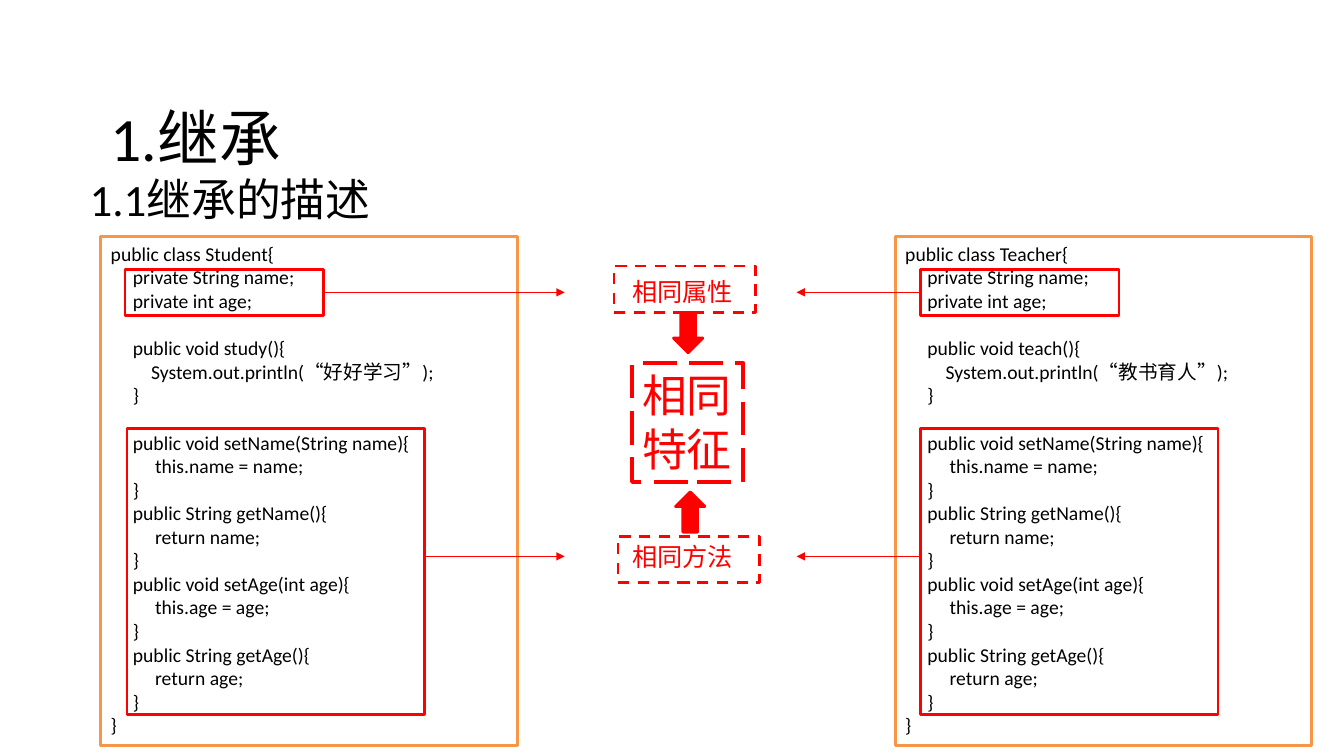
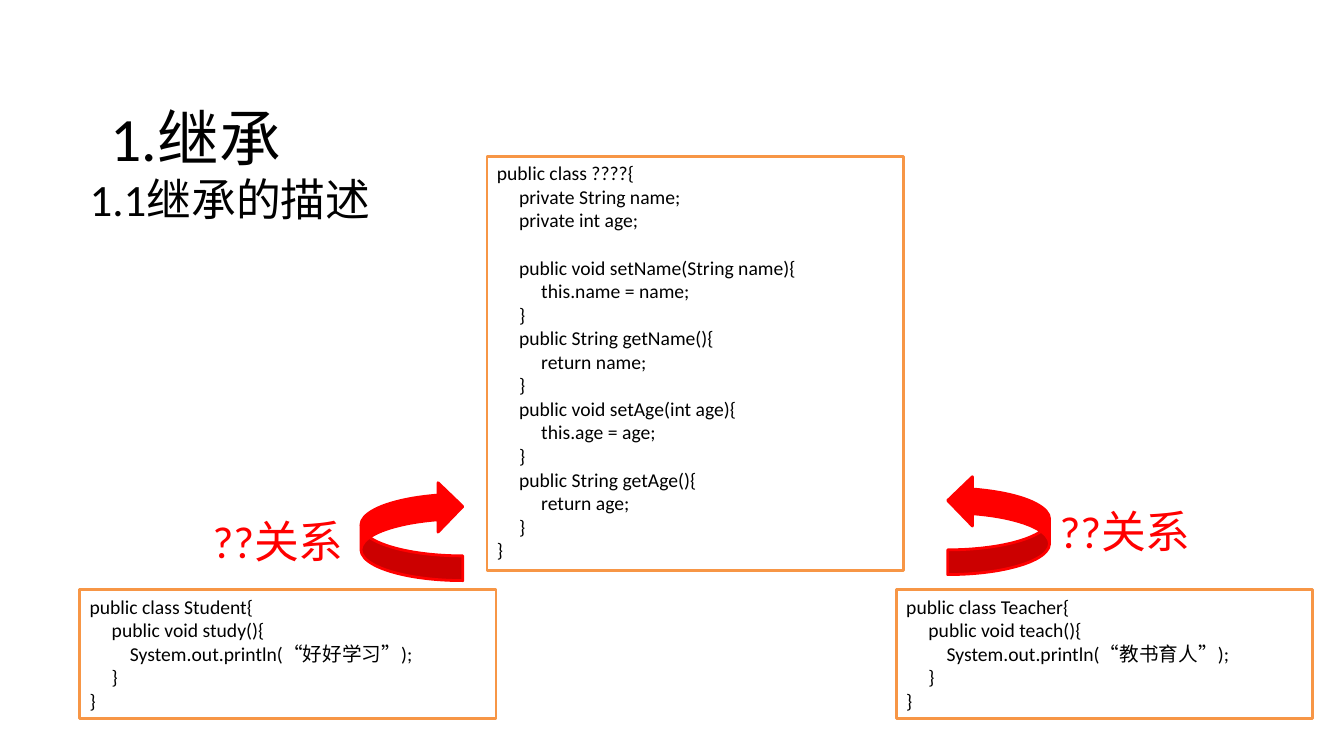
from lxml import etree
from pptx import Presentation
from pptx import util as u
from pptx.dml.color import RGBColor
from pptx.enum import dml, shapes, text
from pptx.oxml.ns import qn

BLACK = RGBColor(0x00, 0x00, 0x00)
WHITE = RGBColor(0xFF, 0xFF, 0xFF)
RED = RGBColor(0xFF, 0x00, 0x00)
ORANGE = RGBColor(0xF7, 0x96, 0x46)
FONT = "Calibri"
CODE_WIDTH = 4.13
MEMBER, PRINT, BODY = 0.22, 0.4, 0.44
CODE_GAP = 17

TITLE = "1.继承"
SUBTITLE = "1.1继承的描述"
RELATION = "??关系"
SHARED = "相同特征"

FIELDS = [(MEMBER, "private String name;"), (MEMBER, "private int age;")]
PROPERTIES = [("String", "name", "Name"), ("int", "age", "Age")]
ROLES = [("Student", "study", "好好学习"), ("Teacher", "teach", "教书育人")]

PANELS = [
    {"left": 1, "fields": 1.24, "methods": 1.26, "side": 3, "tip": 5.6},
    {"left": 8.88, "fields": 9.13, "methods": 9.13, "side": 1, "tip": 7.9},
]
FIELD_TOP, FIELD_SIZE = 2.67, (1.97, 0.46)
METHOD_TOP, METHOD_SIZE = 4.25, (2.95, 2.84)
METHOD_ARROW_Y = 5.52
LABELS = [
    ("相同属性", (6.09, 2.64, 1.4, 0.46), (0.18, 0.1)),
    ("相同方法", (6.13, 5.32, 1.4, 0.46), (0.14, 0.05)),
]
BLOCK_ARROWS = [
    (shapes.MSO_SHAPE.DOWN_ARROW, (6.68, 3.1, 0.29, 0.4)),
    (shapes.MSO_SHAPE.UP_ARROW, (6.7, 4.88, 0.29, 0.4)),
]
SUBCLASS_LEFTS = [0.79, 8.89]
RELATIONS = [
    ((3.58, 4.78, 1.01, 0.98), ["flipV"], (2.01, 5.05, 1.61, 0.64)),
    ((9.4, 4.72, 1.01, 0.98), ["flipH", "flipV"], (10.41, 4.95, 1.61, 0.64)),
]


def accessors():
    lines = []
    for kind, field, suffix in PROPERTIES:
        lines += [
            (MEMBER, f"public void set{suffix}({kind} {field}){{"),
            (BODY, f"this.{field} = {field};"),
            (MEMBER, "}"),
            (MEMBER, f"public String get{suffix}(){{"),
            (BODY, f"return {field};"),
            (MEMBER, "}"),
        ]
    return lines


def action(method, message):
    return [
        (MEMBER, f"public void {method}(){{"),
        (PRINT, f"System.out.println(“{message}”);"),
        (MEMBER, "}"),
    ]


def code_lines(name, *groups):
    lines = [(0, f"public class {name}{{", 0)]
    for number, group in enumerate(groups):
        for row, (indent, words) in enumerate(group):
            gap = CODE_GAP if number and row == 0 else 0
            lines.append((indent, words, gap))
    return lines + [(0, "}", 0)]


def write(box, lines, size=14, color=BLACK, anchor=text.MSO_ANCHOR.TOP, inset=(0.1, 0.05)):
    if isinstance(lines, str):
        lines = [(0, lines, 0)]
    frame = box.text_frame
    frame.word_wrap = True
    frame.vertical_anchor = anchor
    frame.margin_left, frame.margin_top = map(u.Inches, inset)
    for number, (indent, words, gap) in enumerate(lines):
        para = frame.paragraphs[0] if number == 0 else frame.add_paragraph()
        para.alignment = text.PP_ALIGN.LEFT
        para.space_before = u.Pt(gap)
        if indent:
            para._p.get_or_add_pPr().set("marL", str(u.Inches(indent)))
        span = para.add_run()
        span.text = words
        span.font.name = FONT
        span.font.size = u.Pt(size)
        span.font.color.rgb = color


def add_text(page, place, words, **style):
    box = page.shapes.add_textbox(*map(u.Inches, place))
    write(box, words, **style)


def add_box(page, place, line=RED, fill=None, preset=shapes.MSO_SHAPE.RECTANGLE, weight=2, dash=None):
    box = page.shapes.add_shape(preset, *map(u.Inches, place))
    box.shadow.inherit = False
    if fill is None:
        box.fill.background()
    else:
        box.fill.solid()
        box.fill.fore_color.rgb = fill
    box.line.color.rgb = line
    box.line.width = u.Pt(weight)
    if dash:
        box.line.dash_style = dash
    return box


def add_code(page, place, lines):
    write(add_box(page, place, line=ORANGE, fill=WHITE), lines)


def add_arrow(page, start, end):
    points = map(u.Inches, (*start, *end))
    arrow = page.shapes.add_connector(shapes.MSO_CONNECTOR.STRAIGHT, *points)
    arrow.line.color.rgb = RED
    arrow.line.width = u.Pt(0.75)
    etree.SubElement(arrow.line._get_or_add_ln(), qn("a:tailEnd")).set("type", "triangle")
    etree.SubElement(arrow._element.spPr, qn("a:effectLst"))
    return arrow


def add_page(deck):
    page = deck.slides.add_slide(deck.slide_layouts[6])
    add_text(page, (1, 0.73, 11.33, 1.25), TITLE, size=44, anchor=text.MSO_ANCHOR.MIDDLE)
    add_text(page, (0.79, 1.65, 12.08, 0.7), SUBTITLE, size=32)
    return page


def build_comparison(deck):
    page = add_page(deck)
    for panel, (name, method, message) in zip(PANELS, ROLES):
        lines = code_lines(name, FIELDS, action(method, message), accessors())
        add_code(page, (panel["left"], 2.35, CODE_WIDTH, 5.05), lines)
        fields = add_box(page, (panel["fields"], FIELD_TOP, *FIELD_SIZE))
        add_box(page, (panel["methods"], METHOD_TOP, *METHOD_SIZE))
        on_right = panel["side"] == 3
        field_y = FIELD_TOP + FIELD_SIZE[1] / 2
        field_x = panel["fields"] + FIELD_SIZE[0] * on_right
        method_x = panel["methods"] + METHOD_SIZE[0] * on_right
        arrow = add_arrow(page, (field_x, field_y), (panel["tip"], field_y))
        arrow.begin_connect(fields, panel["side"])
        add_arrow(page, (method_x, METHOD_ARROW_Y), (panel["tip"], METHOD_ARROW_Y))
    for words, place, inset in LABELS:
        label = add_box(page, place, dash=dml.MSO_LINE.DASH)
        write(label, words, size=18, color=RED, inset=inset)
    for preset, place in BLOCK_ARROWS:
        add_box(page, place, fill=RED, preset=preset)
    shared = add_box(page, (6.27, 3.6, 1.1, 1.18), weight=3, dash=dml.MSO_LINE.LONG_DASH)
    write(shared, SHARED, size=32, color=RED)


def build_superclass(deck):
    page = add_page(deck)
    for left, (name, method, message) in zip(SUBCLASS_LEFTS, ROLES):
        add_code(page, (left, 5.85, CODE_WIDTH, 1.28), code_lines(name, action(method, message)))
    add_code(page, (4.83, 1.55, CODE_WIDTH, 4.11), code_lines("????", FIELDS, accessors()))
    for place, flips, label_place in RELATIONS:
        arrow = add_box(page, place, fill=RED, preset=shapes.MSO_SHAPE.CURVED_RIGHT_ARROW)
        for flip in flips:
            arrow._element.spPr.find(qn("a:xfrm")).set(flip, "1")
        add_text(page, label_place, RELATION, size=32, color=RED)


def main():
    deck = Presentation()
    deck.slide_width, deck.slide_height = u.Inches(13.33), u.Inches(7.5)
    build_comparison(deck)
    build_superclass(deck)
    deck.save("out.pptx")


if __name__ == "__main__":
    main()
